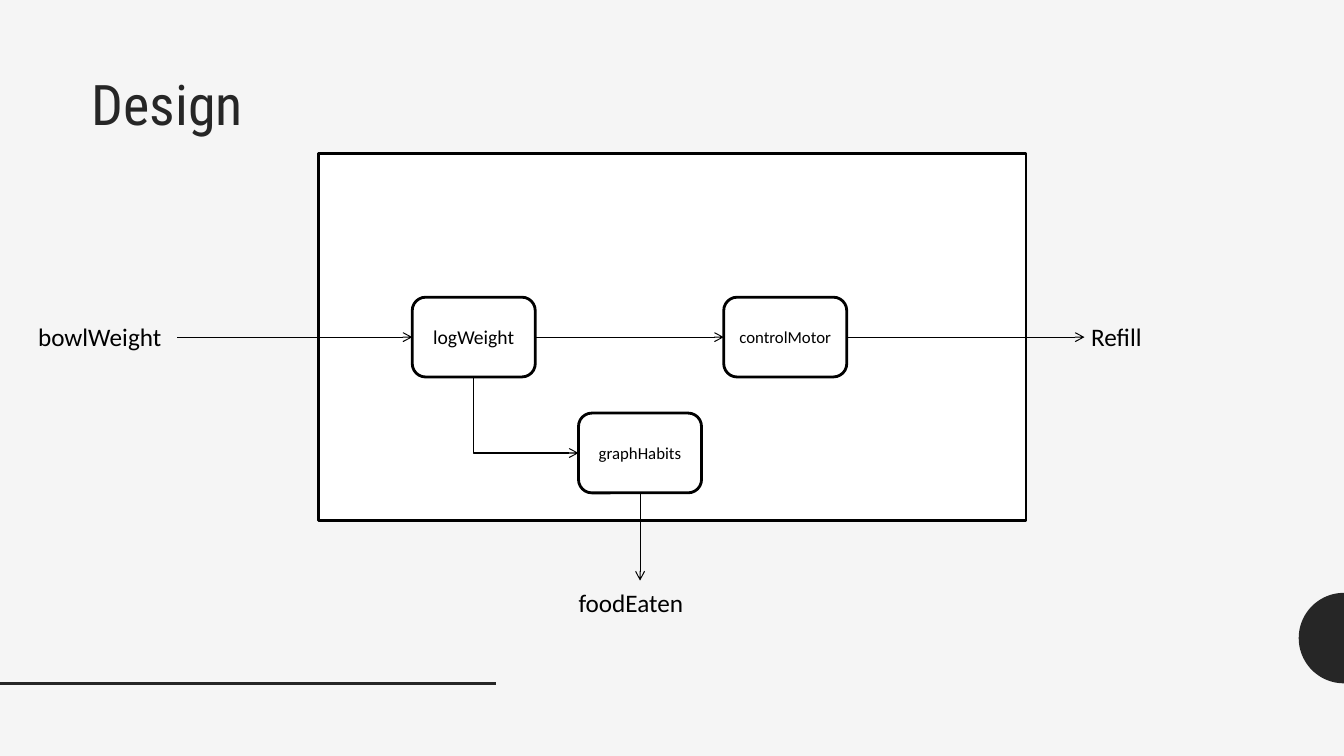
from math import cos, pi, sin

from lxml.etree import SubElement
from pptx import Presentation
from pptx.dml.color import RGBColor
from pptx.enum.shapes import MSO_CONNECTOR, MSO_SHAPE
from pptx.enum.text import MSO_ANCHOR, PP_ALIGN
from pptx.oxml.ns import qn
from pptx.util import Cm, Pt

HUES = {"page": "F5F5F5", "dark": "262626", "ink": "000000", "box": "FFFFFF"}
WIDE, HIGH = 33.87, 19.05
BODY, HEAD = "Calibri", "Roboto Condensed"
TITLE = ("Design", 2.11, 1.55, 10.67, 5.33, 40, HEAD, "dark")
FRAME = (8.03, 3.86, 17.83, 9.25)
NODE = (3.1, 2.01)
NODES = {
    "logWeight": (10.39, 7.49, 14),
    "controlMotor": (18.24, 7.49, 12),
    "graphHabits": (14.58, 10.41, 12),
}
LABELS = [
    ("bowlWeight", 0.71, 7.98, 4.19, 1.02, 18, BODY, "ink"),
    ("Refill", 27.25, 7.98, 2.06, 1.02, 18, BODY, "ink"),
    ("foodEaten", 14.33, 14.68, 3.73, 1.02, 18, BODY, "ink"),
]
START, EXIT, DROP = 4.47, 27.33, 14.63
RULE = (0, 17.22, 12.5, 17.22)
DISC = (WIDE, 16.08, 1.14)


def color(name):
    return RGBColor.from_string(HUES[name])


def style(shape, fill, line, width):
    shape.shadow.inherit = False
    shape.fill.solid()
    shape.fill.fore_color.rgb = color(fill)
    shape.line.color.rgb = color(line)
    shape.line.width = Pt(width)


def write(frame, text, size, font, hue):
    frame.word_wrap = True
    para = frame.paragraphs[0]
    para.text = text
    para.font.size = Pt(size)
    para.font.name = font
    para.font.color.rgb = color(hue)
    return para


def label(shapes, text, x, y, w, h, *look):
    box = shapes.add_textbox(Cm(x), Cm(y), Cm(w), Cm(h))
    write(box.text_frame, text, *look)
    return box


def node(shapes, text, x, y, size):
    box = shapes.add_shape(MSO_SHAPE.ROUNDED_RECTANGLE, Cm(x), Cm(y), *map(Cm, NODE))
    style(box, "box", "ink", 2)
    box.text_frame.vertical_anchor = MSO_ANCHOR.MIDDLE
    write(box.text_frame, text, size, BODY, "ink").alignment = PP_ALIGN.CENTER


def link(shapes, ends, kind=MSO_CONNECTOR.STRAIGHT, hue="ink", width=0.75, arrow=True):
    line = shapes.add_connector(kind, *map(Cm, ends))
    line.line.color.rgb = color(hue)
    line.line.width = Pt(width)
    props = line._element.spPr
    if arrow:
        SubElement(props.find(qn("a:ln")), qn("a:tailEnd"), type="arrow")
    SubElement(props, qn("a:effectLst"))
    return line


def elbow(shapes, x1, y1, x2, y2):
    mid_x, mid_y = (x1 + x2) / 2, (y1 + y2) / 2
    half_w, half_h = (y2 - y1) / 2, (x2 - x1) / 2
    ends = (mid_x + half_w, mid_y - half_h, mid_x - half_w, mid_y + half_h)
    props = link(shapes, ends, MSO_CONNECTOR.ELBOW)._element.spPr
    props.find(qn("a:xfrm")).set("rot", "16200000")
    props.find(qn("a:prstGeom")).set("prst", "bentConnector2")


def disc(shapes, x, y, r):
    turns = [pi / 2 + pi * i / 48 for i in range(49)]
    spots = [(Cm(x + r * cos(t)), Cm(y + r * sin(t))) for t in turns]
    path = shapes.build_freeform(*spots[0])
    path.add_line_segments(spots[1:], close=True)
    half = path.convert_to_shape()
    style(half, "dark", "dark", 0)
    half.line.fill.background()


def main():
    """Build the design slide and save it."""
    deck = Presentation()
    deck.slide_width, deck.slide_height = Cm(WIDE), Cm(HIGH)
    slide = deck.slides.add_slide(deck.slide_layouts[6])
    slide.background.fill.solid()
    slide.background.fill.fore_color.rgb = color("page")
    shapes = slide.shapes

    disc(shapes, *DISC)
    link(shapes, RULE, hue="dark", width=2, arrow=False)
    title = label(shapes, *TITLE).text_frame
    title.margin_left = title.margin_top = Cm(0.2)
    frame = shapes.add_shape(MSO_SHAPE.RECTANGLE, *map(Cm, FRAME))
    style(frame, "box", "ink", 2)
    for text, place in NODES.items():
        node(shapes, text, *place)

    w, h = NODE
    log, motor, graph = [(x, y) for x, y, _ in NODES.values()]
    row = log[1] + h / 2
    stops = [(START, log[0]), (log[0] + w, motor[0]), (motor[0] + w, EXIT)]
    for left, right in stops:
        link(shapes, (left, row, right, row))
    elbow(shapes, log[0] + w / 2, log[1] + h, graph[0], graph[1] + h / 2)
    mid = graph[0] + w / 2
    link(shapes, (mid, graph[1] + h, mid, DROP))
    for item in LABELS:
        label(shapes, *item)
    deck.save("out.pptx")


if __name__ == "__main__":
    main()
